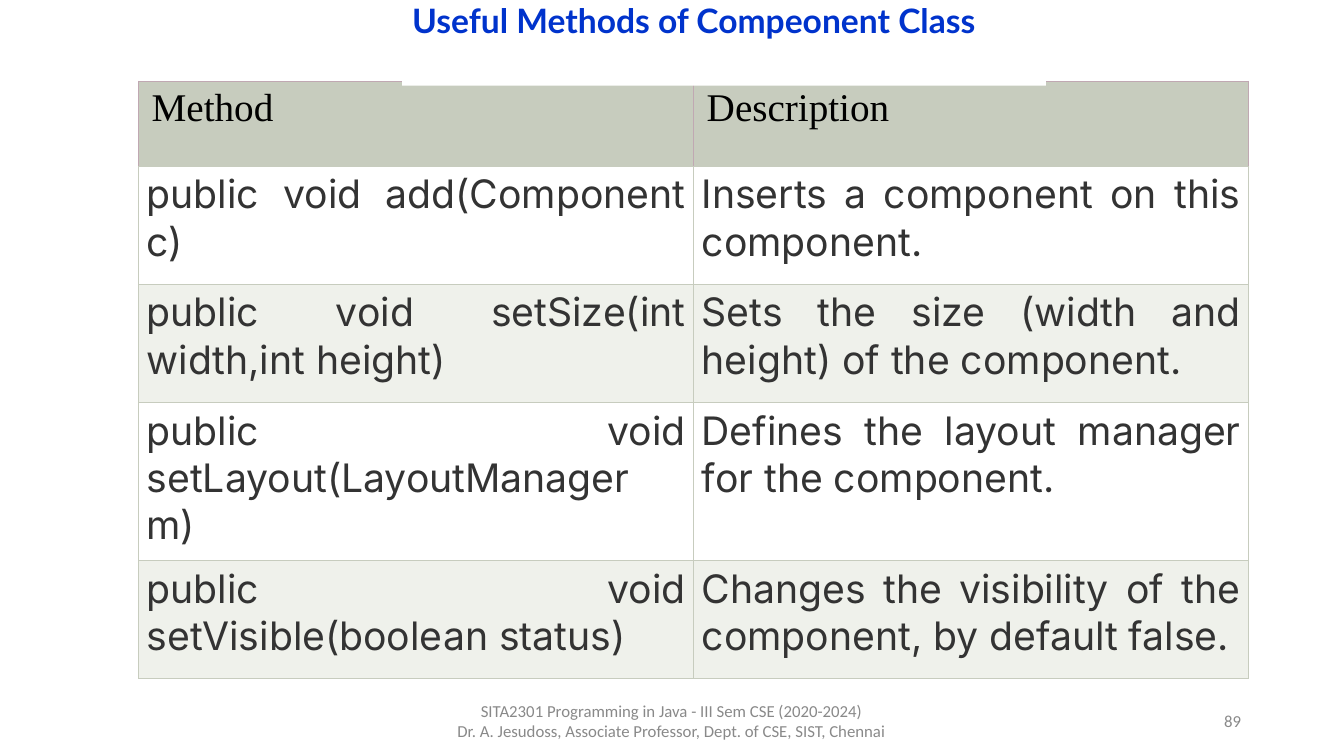
from lxml import etree
from pptx import Presentation
from pptx.dml.color import RGBColor
from pptx.enum.text import MSO_ANCHOR, MSO_AUTO_SIZE, PP_ALIGN
from pptx.oxml.ns import qn
from pptx.util import Pt

LEFT, RIGHT, MID, JUST = PP_ALIGN.LEFT, PP_ALIGN.RIGHT, PP_ALIGN.CENTER, PP_ALIGN.JUSTIFY
TOP, CENTER = MSO_ANCHOR.TOP, MSO_ANCHOR.MIDDLE
FIXED = MSO_AUTO_SIZE.NONE

HUES = {"white": "FFFFFF", "black": "000000", "blue": "0033CC", "grey": "898989",
        "ink": "333333", "head": "C7CCBE", "band": "EFF1EB", "edge": "C0A8B2"}
FONTS = {
    "title": {"name": "Lato", "size": Pt(24), "bold": True},
    "foot": {"name": "Calibri", "size": Pt(12), "bold": False},
    "head": {"name": "Times New Roman", "size": Pt(28), "bold": False},
    "body": {"name": "Inter", "size": Pt(28), "bold": False},
}
ROWS = [
    ("Method", "Description"),
    ("public void add(Component c)", "Inserts a component on this component."),
    ("public void setSize(int width,int height)",
     "Sets the size (width and height) of the component."),
    ("public void setLayout(LayoutManager m)",
     "Defines the layout manager for the component."),
    ("public void setVisible(boolean status)",
     "Changes the visibility of the component, by default false."),
]
HEIGHTS = [60.4, 84.4, 84.4, 113, 84.4]


def apply(item, vals):
    for key, val in vals.items():
        setattr(item, key, val)


class Deck:
    def __init__(self, wide, high):
        self.prs = Presentation()
        apply(self.prs, {"slide_width": Pt(wide), "slide_height": Pt(high)})
        self.slide = self.prs.slides.add_slide(self.prs.slide_layouts[5])

    def paint(self, item, hue):
        item.fill.solid()
        item.fill.fore_color.rgb = RGBColor.from_string(HUES[hue])

    def label(self, frame, text, font, hue, align):
        frame.text = text
        for para in frame.paragraphs:
            para.alignment = align
            for run in para.runs:
                apply(run.font, FONTS[font])
                run.font.color.rgb = RGBColor.from_string(HUES[hue])

    def title(self, text, box):
        """Fill the title and raise it above the table, whose top edge it covers."""
        shape = self.slide.shapes.title
        apply(shape, dict(zip(("left", "top", "width", "height"), map(Pt, box))))
        self.paint(shape, "white")
        apply(shape.text_frame, {"word_wrap": True, "auto_size": FIXED,
                                 "vertical_anchor": TOP})
        self.label(shape.text_frame, text, "title", "blue", LEFT)
        self.slide.shapes._spTree.append(shape._element)

    def note(self, text, box, align):
        frame = self.slide.shapes.add_textbox(*map(Pt, box)).text_frame
        apply(frame, {"word_wrap": True, "vertical_anchor": CENTER})
        self.label(frame, text, "foot", "grey", align)

    def edge(self, cell, hues):
        """Draw the cell's left, right, top and bottom borders in that order."""
        props = cell._tc.get_or_add_tcPr()
        for spot, (side, hue) in enumerate(zip("LRTB", hues)):
            line = etree.Element(qn(f"a:ln{side}"), w=str(Pt(0.34)))
            fill = etree.SubElement(line, qn("a:solidFill"))
            etree.SubElement(fill, qn("a:srgbClr"), val=HUES[hue])
            props.insert(spot, line)

    def table(self, rows, heights, left, top, width):
        count = len(rows[0])
        grid = self.slide.shapes.add_table(
            len(rows), count, Pt(left), Pt(top), Pt(width), Pt(sum(heights))).table
        apply(grid, {"first_row": False, "horz_banding": False})
        for col in grid.columns:
            col.width = Pt(width / count)
        for r, (texts, high) in enumerate(zip(rows, heights)):
            grid.rows[r].height = Pt(high)
            if r == 0:
                font, ink, fill, align, pad = "head", "black", "head", LEFT, 9.4
                edges = ("edge", "edge", "edge", "head")
            else:
                font, ink, align, pad = "body", "ink", JUST, 5.8
                fill = "white" if r % 2 else "band"
                edges = ("head",) * 4
            for c, text in enumerate(texts):
                cell = grid.cell(r, c)
                apply(cell, {"margin_left": Pt(pad), "margin_right": Pt(pad)})
                self.paint(cell, fill)
                self.edge(cell, edges)
                self.label(cell.text_frame, text, font, ink, align)


def main():
    deck = Deck(960.5, 540)
    deck.note("SITA2301 Programming in Java - III Sem CSE (2020-2024)\v"
              "Dr. A. Jesudoss, Associate Professor, Dept. of CSE, SIST, Chennai",
              (318, 500.4, 324, 28.8), MID)
    deck.note("89", (678, 500.4, 216, 28.8), RIGHT)
    deck.table(ROWS, HEIGHTS, 99, 58, 793.4)
    deck.title("Useful Methods of Compeonent Class", (287.4, -3.6, 460, 64.8))
    deck.prs.save("out.pptx")


if __name__ == "__main__":
    main()
